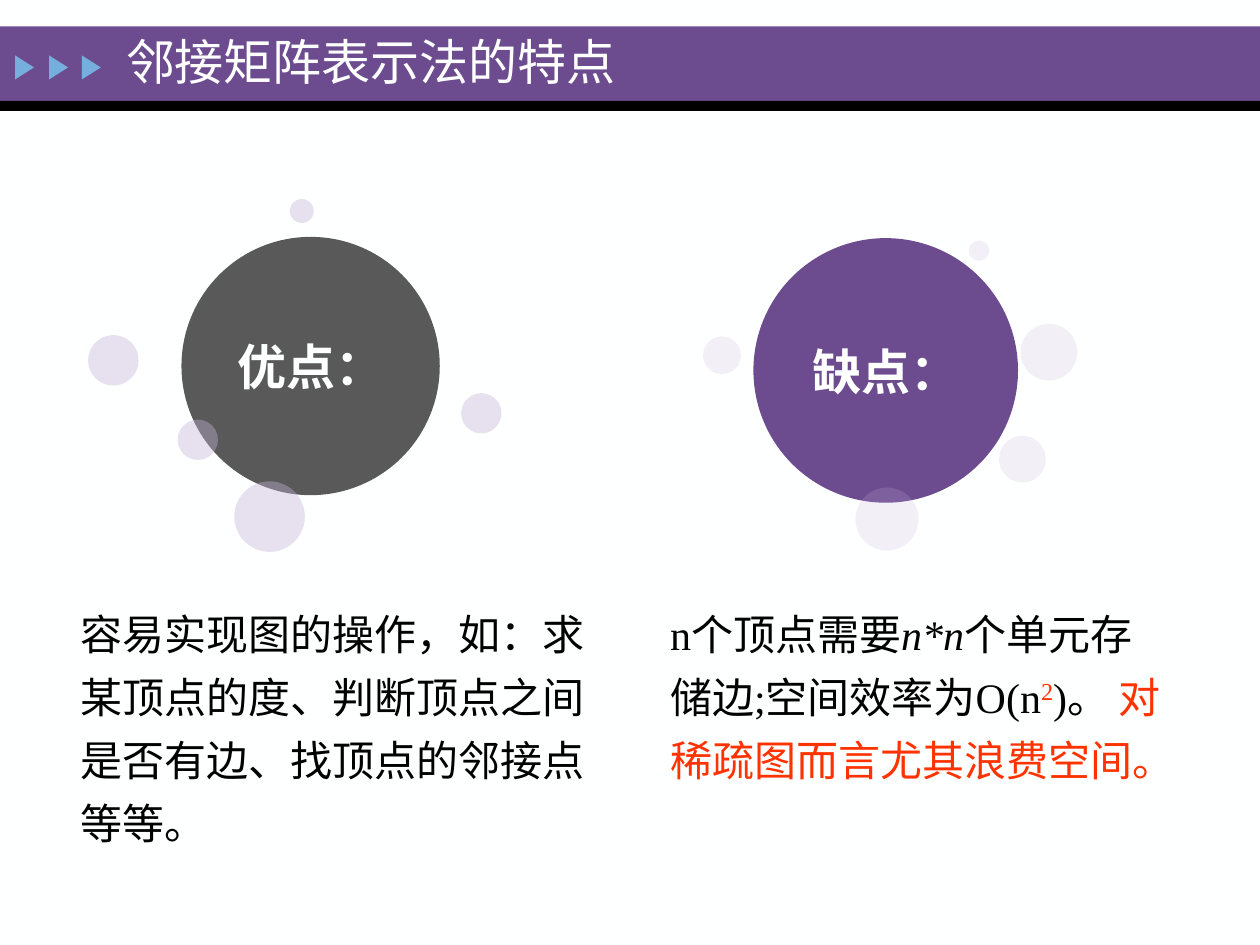
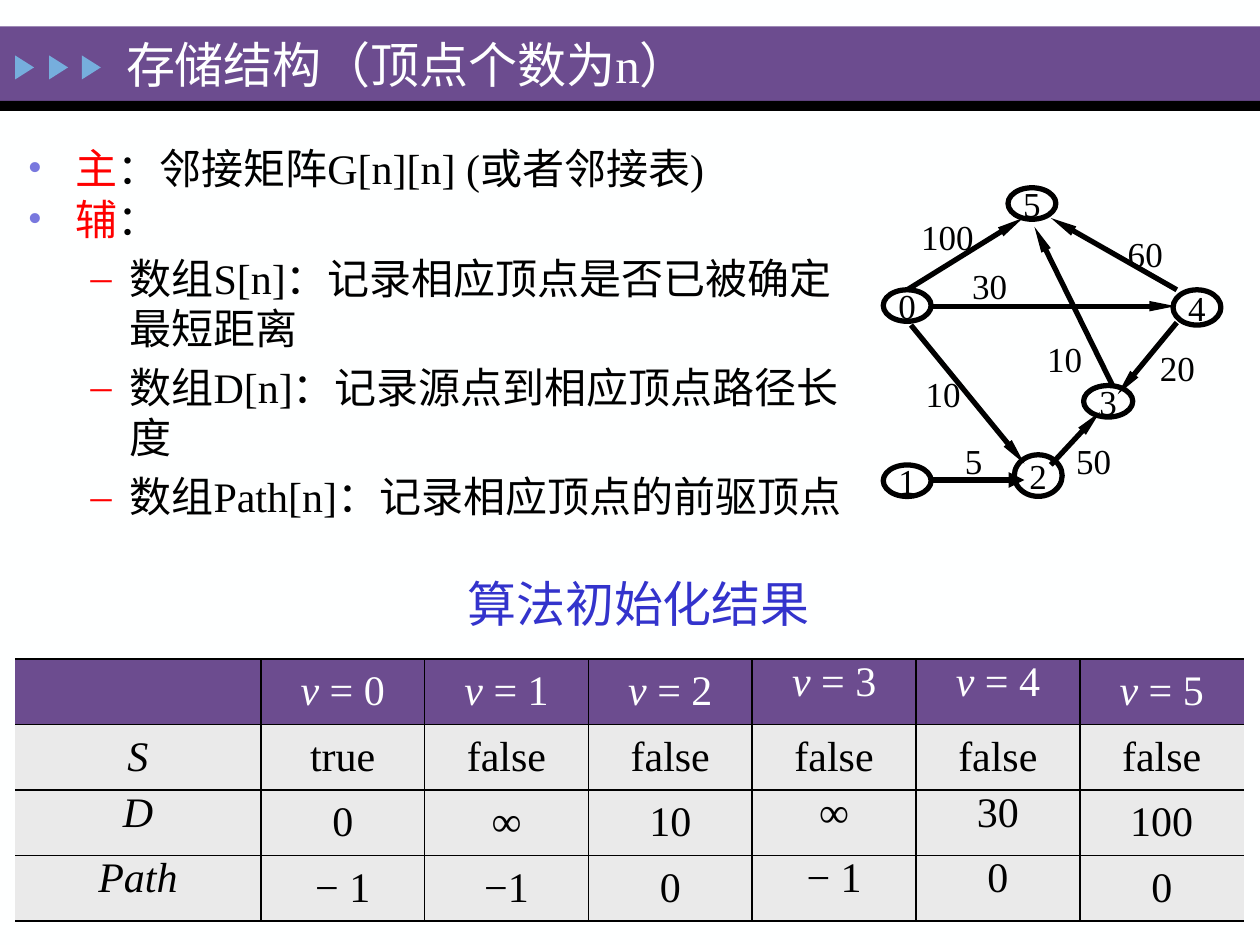
"""Build two slides on adjacency matrices and the arrays of a shortest-path algorithm."""
from lxml.etree import SubElement
from pptx import Presentation
from pptx.dml.color import RGBColor
from pptx.enum.lang import MSO_LANGUAGE_ID as Lang
from pptx.enum.shapes import MSO_CONNECTOR as Connector, MSO_SHAPE as Shape
from pptx.enum.text import MSO_ANCHOR as Anchor, MSO_AUTO_SIZE as AutoSize, PP_ALIGN as Align
from pptx.oxml.ns import qn
from pptx.util import Emu, Pt

FONT = "Times New Roman"
PAPER = RGBColor(0xFE, 0xFF, 0xFF)
BLACK = RGBColor(0x00, 0x00, 0x00)
PURPLE = RGBColor(0x6C, 0x4C, 0x8F)
LILAC = RGBColor(0xC4, 0xB3, 0xD7)
PERIWINKLE = RGBColor(0x78, 0x78, 0xDE)
SKY = RGBColor(0x76, 0xAE, 0xDD)
GREY = RGBColor(0x59, 0x59, 0x59)
PALE = RGBColor(0xEA, 0xEA, 0xEA)
RED = RGBColor(0xFF, 0x00, 0x00)
ORANGE = RGBColor(0xFF, 0x33, 0x00)
BLUE = RGBColor(0x33, 0x33, 0xCC)


def px(length):
    """Turn px, at 100 to the inch, into EMU."""
    return Emu(length * 9144)


class Deck:
    """Hold the shared style and the current slide."""

    def __init__(self):
        """Start an empty 4:3 presentation."""
        self.show = Presentation()
        self.show.slide_width, self.show.slide_height = px(1000), px(750)
        self.slide = None

    def new_slide(self, title, top):
        """Add a slide with its bands, markers and title."""
        self.slide = self.show.slides.add_slide(self.show.slide_layouts[5])
        fill = self.slide.background.fill
        fill.solid()
        fill.fore_color.rgb = PAPER
        self.shape(Shape.RECTANGLE, (0, 21, 1000, 59), PURPLE)
        self.shape(Shape.RECTANGLE, (0, 80, 1000, 8), BLACK)
        for left in (10, 37, 63):
            marker = self.shape(Shape.ISOSCELES_TRIANGLE, (left, 46, 19, 15), SKY)
            marker.rotation = 90
        heading = self.slide.shapes.title
        heading.left, heading.top, heading.width, heading.height = map(px, (90, top, 700, 56))
        heading.element.getparent().append(heading.element)
        frame = heading.text_frame
        frame.auto_size, frame.word_wrap = AutoSize.NONE, True
        frame.vertical_anchor = Anchor.MIDDLE
        self.paragraph(frame, [(title, {"color": PAPER})], size=28)

    def paragraph(self, frame, runs, size=24, align=Align.LEFT, spacing=None, before=0,
                  margin=0, indent=0, bullet=None, first=True):
        """Write one paragraph from (text, format) runs."""
        para = frame.paragraphs[0] if first else frame.add_paragraph()
        props = para._p.get_or_add_pPr()
        props.set("marL", str(px(margin)))
        props.set("indent", str(px(indent)))
        if bullet:
            symbol, color = bullet
            tint = SubElement(props, qn("a:buClr"))
            SubElement(tint, qn("a:srgbClr"), val=str(color))
            SubElement(props, qn("a:buFont"), typeface=FONT)
            SubElement(props, qn("a:buChar"), char=symbol)
        para.alignment = align
        if spacing:
            para.line_spacing = spacing
        if not first:
            para.space_before = Pt(before)
        for text, style in runs:
            run = para.add_run()
            run.text = text
            font = run.font
            font.name, font.size = FONT, Pt(size)
            font.language_id = Lang.SIMPLIFIED_CHINESE
            font.bold, font.italic = style.get("bold", False), style.get("italic", False)
            font.color.rgb = style.get("color", BLACK)
            if "baseline" in style:
                run._r.get_or_add_rPr().set("baseline", str(style["baseline"]))
        return para

    def text(self, box, runs=None, anchor=Anchor.TOP, **layout):
        """Add a wrapping text box and return its frame."""
        frame = self.slide.shapes.add_textbox(*map(px, box)).text_frame
        frame.word_wrap, frame.vertical_anchor = True, anchor
        if runs:
            self.paragraph(frame, runs, **layout)
        return frame

    def shape(self, kind, box, fill=None, alpha=None, outline=None):
        """Add a preset shape, filled or outlined."""
        shape = self.slide.shapes.add_shape(kind, *map(px, box))
        shape.shadow.inherit = False
        if fill is None:
            shape.fill.background()
        else:
            shape.fill.solid()
            shape.fill.fore_color.rgb = fill
        if alpha:
            color = shape.element.spPr.find(".//" + qn("a:srgbClr"))
            SubElement(color, qn("a:alpha"), val=str(alpha * 1000))
        if outline:
            shape.line.color.rgb, shape.line.width = outline, Pt(3)
        else:
            shape.line.fill.background()
        return shape

    def label(self, shape, text, size, **style):
        """Centre unwrapped text inside a shape."""
        frame = shape.text_frame
        frame.word_wrap, frame.vertical_anchor = False, Anchor.MIDDLE
        frame.margin_left = frame.margin_right = frame.margin_top = frame.margin_bottom = 0
        self.paragraph(frame, [(text, style)], size=size, align=Align.CENTER)

    def bubbles(self, circle, color, caption, alpha, dots):
        """Add a captioned circle with translucent dots around it."""
        left, top, size = circle
        self.label(self.shape(Shape.OVAL, (left, top, size, size), color), caption, 28,
                   bold=True, color=PAPER)
        for left, top, size in dots:
            self.shape(Shape.OVAL, (left, top, size, size), LILAC, alpha)

    def arrow(self, points, head=("sm", "lg")):
        """Add a black arrow with the given head width and length."""
        line = self.slide.shapes.add_connector(Connector.STRAIGHT, *map(px, points))
        line.line.color.rgb, line.line.width = BLACK, Pt(3)
        width, length = head
        SubElement(line.line._get_or_add_ln(), qn("a:tailEnd"), type="triangle",
                   w=width, len=length)
        SubElement(line.element.spPr, qn("a:effectLst"))

    def table(self, box, widths, rows, top_cells):
        """Add a ruled table with a coloured header and open sides."""
        grid = self.slide.shapes.add_table(len(rows), len(widths), *map(px, box)).table
        grid.horz_banding = grid.first_row = False
        for column, width in zip(grid.columns, widths):
            column.width = px(width)
        for r, row in enumerate(rows):
            for c, runs in enumerate(row):
                cell = grid.cell(r, c)
                cell.margin_left = cell.margin_right = px(7)
                cell.margin_top = cell.margin_bottom = 0
                cell.vertical_anchor = Anchor.TOP if (r, c) in top_cells else Anchor.MIDDLE
                if runs:
                    para = self.paragraph(cell.text_frame, runs, align=Align.CENTER)
                    para.space_after = Pt(1.2)
                self.borders(cell, c > 0, c < len(widths) - 1)
                cell.fill.solid()
                cell.fill.fore_color.rgb = PALE if r else PURPLE

    def borders(self, cell, left, right):
        """Rule a cell above, below and on the chosen sides."""
        props = cell._tc.get_or_add_tcPr()
        for tag, drawn in (("a:lnL", left), ("a:lnR", right), ("a:lnT", True), ("a:lnB", True)):
            edge = SubElement(props, qn(tag), w=str(Pt(1)))
            if drawn:
                ink = SubElement(edge, qn("a:solidFill"))
                SubElement(ink, qn("a:srgbClr"), val=str(BLACK))
            else:
                SubElement(edge, qn("a:noFill"))


def matrix_features(deck):
    """Compare the strengths and weaknesses of the adjacency matrix."""
    deck.new_slide("邻接矩阵表示法的特点", 20)
    deck.text((54, 468, 422, 212), [
        ("容易实现图的操作，如：求某顶点的度、判断顶点之间是否有边、找顶点的邻接点等等。", {}),
    ], spacing=1.25)
    deck.text((522, 468, 414, 212), [
        ("n个顶点需要", {}),
        ("n*n", {"italic": True}),
        ("个单元存储边;空间效率为O(n", {}),
        ("2", {"color": ORANGE, "baseline": 30000}),
        (")。 ", {}),
        ("对稀疏图而言尤其浪费空间。", {"color": ORANGE}),
    ], spacing=1.25)
    deck.bubbles((598, 189, 210), PURPLE, "缺点：", 20, [
        (558, 267, 30), (679, 387, 50), (769, 191, 16), (793, 346, 37), (810, 257, 45)])
    deck.bubbles((144, 188, 205), GREY, "优点：", 40, [
        (366, 312, 32), (141, 333, 32), (186, 382, 56), (230, 158, 19), (70, 266, 40)])


def storage_structure(deck):
    """Show the arrays, the sample graph and the initial values."""
    deck.new_slide("存储结构（顶点个数为n）", 23)
    arrays = deck.text((12, 114, 671, 302))
    for role, detail in (("主", "：邻接矩阵G[n][n] (或者邻接表)"), ("辅", "：")):
        deck.paragraph(arrays, [(role, {"color": RED}), (detail, {})], spacing=0.85, before=4.8,
                       margin=38, indent=-38, bullet=("•", PERIWINKLE), first=role == "主")
    for detail in ("数组S[n]：记录相应顶点是否已被确定最短距离",
                   "数组D[n]：记录源点到相应顶点路径长度",
                   "数组Path[n]：记录相应顶点的前驱顶点"):
        deck.paragraph(arrays, [(detail, {})], before=4.8, margin=81, indent=-31,
                       bullet=("–", RED), first=False)

    vertices = {"5": (800, 149, 38, 25), "4": (931, 230, 38, 28), "0": (701, 230, 38, 25),
                "3": (860, 306, 39, 25), "1": (701, 369, 38, 25), "2": (805, 361, 38, 33)}
    for vertex, box in vertices.items():
        deck.label(deck.shape(Shape.OVAL, box, outline=BLACK), vertex, 20)
    edges = [
        ((720, 230, 812, 173), "100", (710, 166, 84)),
        ((934, 230, 834, 173), "60", (876, 180, 66)),
        ((739, 243, 933, 243), "30", (756, 205, 59)),
        ((723, 258, 813, 368), "10", (715, 291, 67)),
        ((883, 306, 821, 180), "10", (808, 263, 74)),
        ((934, 256, 887, 313), "20", (908, 270, 53)),
        ((834, 369, 873, 327), "50", (841, 344, 54)),
    ]
    for points, weight, place in edges:
        deck.arrow(points)
        deck.text((*place, 44), [(weight, {})], size=20, align=Align.CENTER)
    deck.arrow((738, 381, 813, 381), ("med", "med"))
    deck.text((756, 344, 33, 44), [("5", {})], size=20, align=Align.CENTER)

    header = [None] + [[("v ", {"italic": True, "color": PAPER}), (f"= {v}", {"color": PAPER})]
                       for v in range(6)]
    initial = {"S": ["true"] + ["false"] * 5,
               "D": ["0", "∞", "10", "∞", "30", "100"],
               "Path": ["− 1", "−1", "0", "− 1", "0", "0"]}
    rows = [header] + [[[(name, {"italic": True})]] + [[(value, {})] for value in values]
                       for name, values in initial.items()]
    top_cells = {(r, c) for r in (0, 2, 3) for c in (0, 4, 5)}
    deck.table((12, 523, 975, 208), [195] + [130] * 6, rows, top_cells)
    deck.text((333, 450, 328, 57), [("算法初始化结果", {"color": BLUE})], anchor=Anchor.MIDDLE,
              size=28, indent=28)


def main():
    """Build and save the slides."""
    deck = Deck()
    matrix_features(deck)
    storage_structure(deck)
    deck.show.save("out.pptx")


if __name__ == "__main__":
    main()
